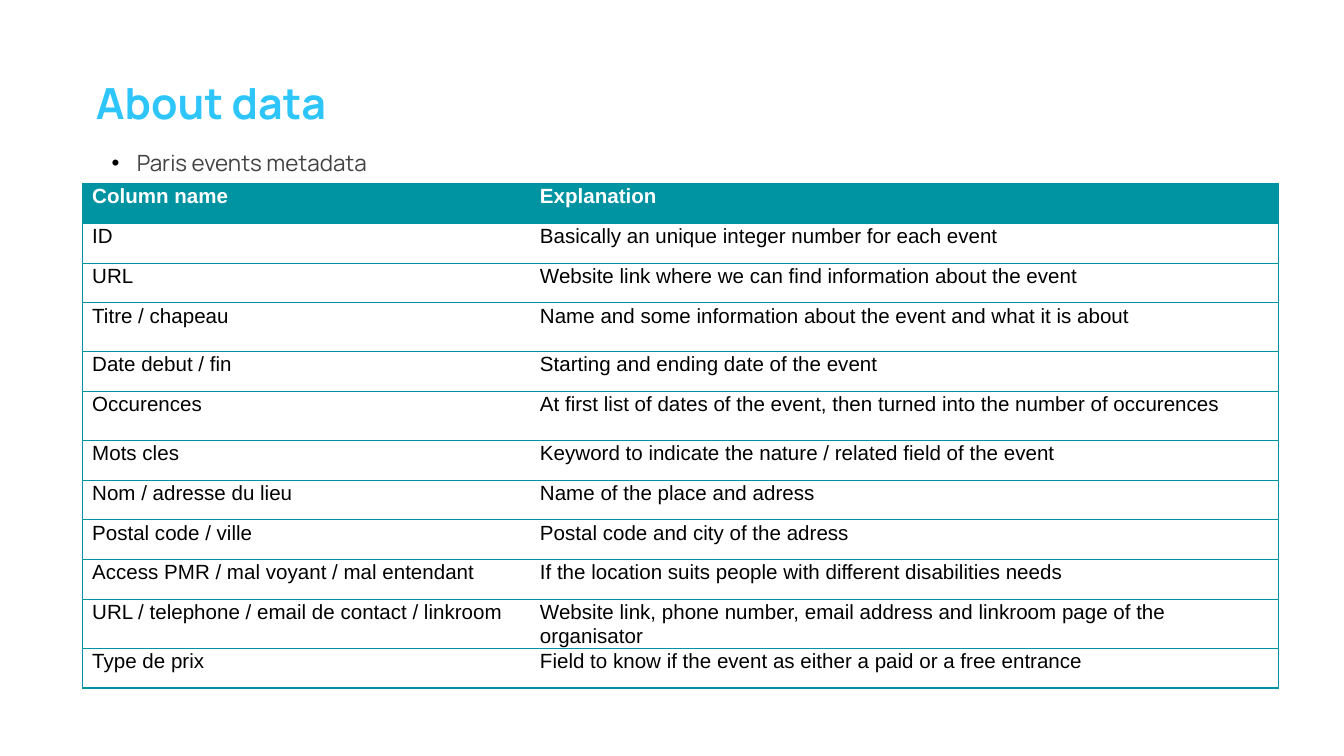
from lxml.etree import SubElement
from pptx import Presentation
from pptx.dml.color import RGBColor as RGB
from pptx.enum.text import MSO_ANCHOR as Anchor, MSO_AUTO_SIZE as AutoSize, PP_ALIGN as Align
from pptx.oxml.ns import qn
from pptx.util import Pt

COLORS = {"teal": "0094A3", "sky": "2DC5FA", "gray": "434343",
          "black": "000000", "white": "FFFFFF"}
FRAME = {"margin_left": Pt(7.2), "margin_right": Pt(7.2), "margin_top": Pt(7.2),
         "margin_bottom": Pt(7.2), "word_wrap": True,
         "auto_size": AutoSize.NONE, "vertical_anchor": Anchor.TOP}
CELL = {"margin_left": Pt(5.2), "margin_right": Pt(5.2), "margin_top": 0,
        "margin_bottom": 0, "vertical_anchor": Anchor.TOP}
CELL_PARAGRAPH = {"alignment": Align.LEFT, "line_spacing": 1.07,
                  "space_before": Pt(6), "space_after": Pt(8)}

COLUMN_WIDTHS = [239.9, 401]
ROW_HEIGHT, TALL_ROW_HEIGHT = 21.3, 26.2
TALL_ROWS = {3, 5, 10}
METADATA = [
    ("Column name", "Explanation"),
    ("ID", "Basically an unique integer number for each event"),
    ("URL", "Website link where we can find information about the event"),
    ("Titre / chapeau", "Name and some information about the event and what it is about"),
    ("Date debut / fin", "Starting and ending date of the event"),
    ("Occurences", "At first list of dates of the event, then turned into the number of occurences"),
    ("Mots cles", "Keyword to indicate the nature / related field of the event"),
    ("Nom / adresse du lieu", "Name of the place and adress"),
    ("Postal code / ville", "Postal code and city of the adress"),
    ("Access PMR / mal voyant / mal entendant",
     "If the location suits people with different disabilities needs"),
    ("URL / telephone / email de contact / linkroom",
     "Website link, phone number, email address and linkroom page of the organisator"),
    ("Type de prix", "Field to know if the event as either a paid or a free entrance"),
]


def apply(target, values):
    for name, value in values.items():
        setattr(target, name, value)


class MetadataSlide:
    def __init__(self, deck):
        self.slide = deck.slides.add_slide(deck.slide_layouts[1])

    def add_text(self, paragraph, text, size, font, color, bold=False):
        run = paragraph.add_run()
        run.text = text
        apply(run.font, {"size": Pt(size), "name": font, "bold": bold})
        run.font.color.rgb = RGB.from_string(COLORS[color])

    def place(self, placeholder, left, top, width, height):
        """Move a placeholder and return its first paragraph."""
        apply(placeholder, {"left": Pt(left), "top": Pt(top),
                            "width": Pt(width), "height": Pt(height)})
        apply(placeholder.text_frame, FRAME)
        paragraph = placeholder.text_frame.paragraphs[0]
        apply(paragraph, {"alignment": Align.LEFT, "space_before": Pt(0)})
        return paragraph

    def title(self, text, *box):
        paragraph = self.place(self.slide.shapes.title, *box)
        paragraph.space_after = Pt(16)
        self.add_text(paragraph, text, 23, "Manrope", "sky", True)

    def bullet(self, text, *box):
        paragraph = self.place(self.slide.placeholders[1], *box)
        self.add_text(paragraph, text, 12, "Manrope", "gray")
        properties = paragraph._p.get_or_add_pPr()
        properties.set("marL", str(Pt(13.5)))
        properties.set("indent", str(-Pt(13.5)))
        bullet_color = SubElement(properties, qn("a:buClr"))
        SubElement(bullet_color, qn("a:srgbClr"), val=COLORS["black"])
        SubElement(properties, qn("a:buFont"), typeface="Arial")
        SubElement(properties, qn("a:buChar"), char="•")

    def borders(self, cell, visible_sides):
        properties = cell._tc.get_or_add_tcPr()
        for side in "LRTB":
            line = SubElement(properties, qn(f"a:ln{side}"), w=str(Pt(0.75)))
            if side in visible_sides:
                fill = SubElement(line, qn("a:solidFill"))
                SubElement(fill, qn("a:srgbClr"), val=COLORS["teal"])
            else:
                SubElement(line, qn("a:noFill"))

    def cell(self, cell, text, header, visible_sides):
        apply(cell, CELL)
        self.borders(cell, visible_sides)
        cell.fill.solid()
        cell.fill.fore_color.rgb = RGB.from_string(COLORS["teal" if header else "white"])
        paragraph = cell.text_frame.paragraphs[0]
        apply(paragraph, CELL_PARAGRAPH)
        self.add_text(paragraph, text, 11, "Arial", "white" if header else "black", header)

    def table(self, records, left, top):
        heights = [TALL_ROW_HEIGHT if i in TALL_ROWS else ROW_HEIGHT
                   for i in range(len(records))]
        table = self.slide.shapes.add_table(
            len(records), len(COLUMN_WIDTHS), Pt(left), Pt(top),
            Pt(sum(COLUMN_WIDTHS)), Pt(sum(heights))).table
        for column, width in zip(table.columns, COLUMN_WIDTHS):
            column.width = Pt(width)
        for r, (record, height) in enumerate(zip(records, heights)):
            table.rows[r].height = Pt(height)
            for c, (text, outer_side) in enumerate(zip(record, "LR")):
                self.cell(table.cell(r, c), text, r == 0, "TB" + outer_side)


def main():
    deck = Presentation()
    apply(deck, {"slide_width": Pt(720), "slide_height": Pt(405)})
    slide = MetadataSlide(deck)
    slide.title("About data", 44.2, 33.8, 384.5, 27.4)
    slide.bullet("Paris events metadata", 52.6, 72.7, 292.3, 263.5)
    slide.table(METADATA, 44.2, 98.4)
    deck.save("out.pptx")


if __name__ == "__main__":
    main()
